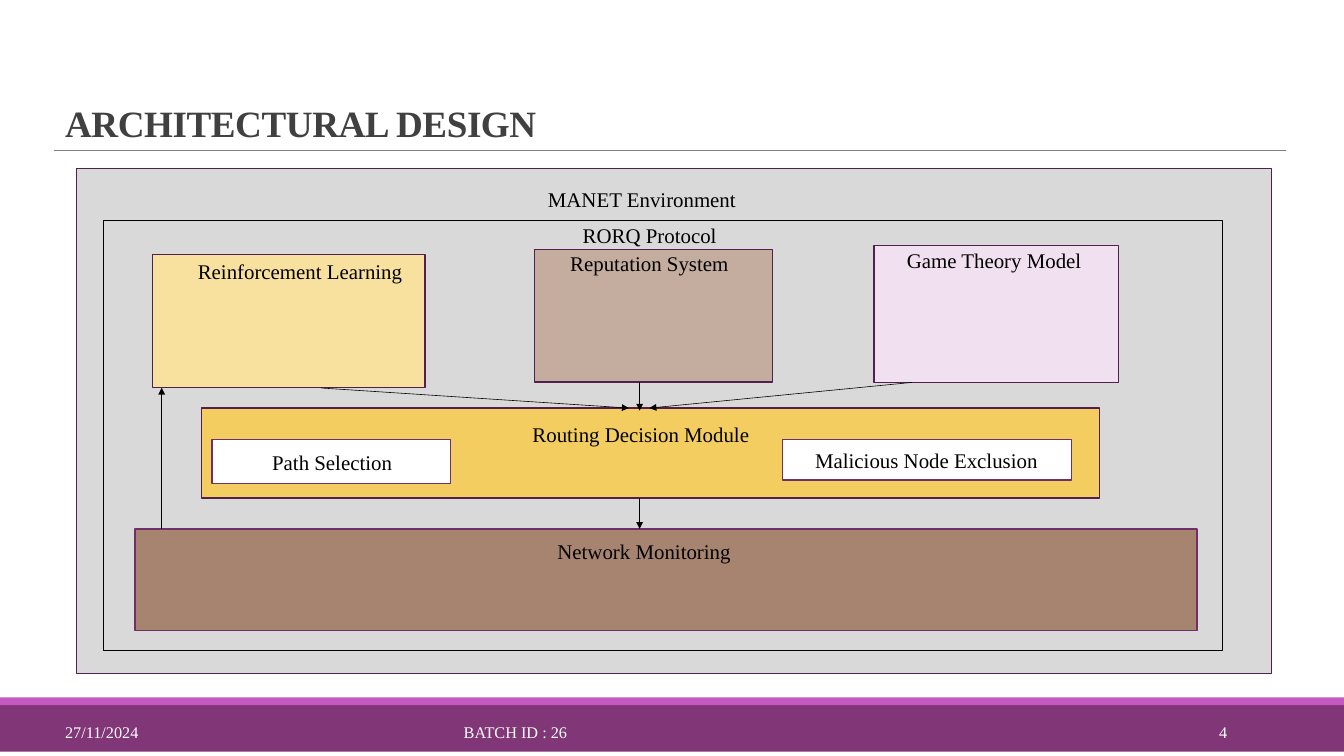
"""Build the architectural design slide."""
import pptx
import pptx.dml.color
import pptx.enum.shapes
import pptx.enum.text
import pptx.oxml
import pptx.oxml.ns
import pptx.util

Cm = pptx.util.Cm
Pt = pptx.util.Pt
Align = pptx.enum.text.PP_ALIGN
Anchor = pptx.enum.text.MSO_ANCHOR


def tint(code):
    """Turn a hex string into a colour."""
    return pptx.dml.color.RGBColor.from_string(code)


def assign(target, values):
    """Set each attribute named in a dict."""
    for name, value in values.items():
        setattr(target, name, value)


class Page:
    """Hold the style and the current slide."""

    face = "Times New Roman"

    def __init__(self, deck):
        """Add a title-only slide."""
        self.slide = deck.slides.add_slide(deck.slide_layouts[5])
        self.shapes = self.slide.shapes

    def label(self, shape, text, size, ink, pad=(0.25, 0.13), bold=False,
              anchor=Anchor.TOP, align=Align.LEFT):
        """Fill a shape with one styled line of text."""
        frame = shape.text_frame
        assign(frame, {
            "text": text, "word_wrap": True, "vertical_anchor": anchor,
            "auto_size": pptx.enum.text.MSO_AUTO_SIZE.NONE,
            "margin_left": Cm(pad[0]), "margin_top": Cm(pad[1]),
            "margin_right": Cm(0.25), "margin_bottom": Cm(pad[1]),
        })
        line = frame.paragraphs[0]
        line.alignment = align
        font = line.runs[0].font
        assign(font, {"name": self.face, "size": Pt(size), "bold": bold})
        font.color.rgb = tint(ink)
        return line

    def title(self, text, spot):
        """Place and format the title."""
        shape = self.shapes.title
        assign(shape, dict(zip(("left", "top", "width", "height"), map(Cm, spot))))
        line = self.label(shape, text, 32, "404040", bold=True, anchor=Anchor.BOTTOM)
        line.line_spacing = 0.85
        line.runs[0].font._element.set("spc", "-40")

    def box(self, spot, fill=None, edge=None, text=None, pad=(0, 0)):
        """Add a rectangle with an optional label."""
        kind = pptx.enum.shapes.MSO_SHAPE.RECTANGLE
        shape = self.shapes.add_shape(kind, *map(Cm, spot))
        shape.shadow.inherit = False
        if fill:
            shape.fill.solid()
            shape.fill.fore_color.rgb = tint(fill)
        else:
            shape.fill.background()
        if edge:
            shape.line.color.rgb = tint(edge)
            shape.line.width = Pt(1)
        else:
            shape.line.fill.background()
        if text:
            self.label(shape, text, 18, "000000", pad)

    def line(self, ends, ink, width, head=False):
        """Add a straight line, with an arrowhead if asked."""
        kind = pptx.enum.shapes.MSO_CONNECTOR.STRAIGHT
        link = self.shapes.add_connector(kind, *map(Cm, ends))
        link.line.color.rgb = tint(ink)
        link.line.width = Pt(width)
        look = link._element.spPr
        space = pptx.oxml.ns.nsdecls("a")
        if head:
            tail = pptx.oxml.parse_xml(f'<a:tailEnd {space} type="triangle"/>')
            look.get_or_add_ln().append(tail)
        look.append(pptx.oxml.parse_xml(f"<a:effectLst {space}/>"))

    def note(self, left, width, text, align=Align.LEFT):
        """Add a white text to the footer bar."""
        shape = self.shapes.add_textbox(*map(Cm, (left, 21.67, width, 1.22)))
        self.label(shape, text, 14, "FFFFFF", anchor=Anchor.MIDDLE, align=align)


PLUM, GRAPE = "512050", "712F6A"
BOXES = [
    ((2.34, 5.13, 36.35, 15.37), "D9D9D9", PLUM, "MANET Environment", (14.33, 0.56)),
    ((3.15, 6.71, 34.04, 13.08), None, "000000", "RORQ Protocol", (14.58, 0.08)),
    ((4.65, 7.75, 8.28, 4.04), "F8E09F", PLUM, "Reinforcement Learning", (1.37, 0.13)),
    ((16.26, 7.59, 7.24, 4.04), "C4AC9F", PLUM, "Reputation System", (1.09, 0.04)),
    ((26.59, 7.47, 7.44, 4.17), "F1E0F0", PLUM, "Game Theory Model", (1, 0.08)),
    ((6.12, 12.42, 27.33, 2.74), "F3CD5F", PLUM, "Routing Decision Module", (10.08, 0.41)),
    ((6.45, 13.39, 7.26, 1.32), "FFFFFF", GRAPE, "Path Selection", (1.83, 0.3)),
    ((23.8, 13.39, 8.79, 1.22), "FFFFFF", GRAPE, "Malicious Node Exclusion", (1, 0.25)),
    ((4.11, 16.1, 32.31, 3.1), "A7846F", GRAPE, "Network Monitoring", (12.85, 0.29)),
]
ARROWS = [
    (4.92, 16.1, 4.92, 11.8),
    (9.78, 11.81, 19.13, 12.42),
    (19.46, 11.63, 19.46, 12.5),
    (27.74, 11.64, 19.76, 12.42),
    (19.46, 15.16, 19.46, 16.1),
]


def main():
    """Draw the slide and save it."""
    deck = pptx.Presentation()
    assign(deck, {"slide_width": Cm(40.89), "slide_height": Cm(23.01)})
    page = Page(deck)
    page.box((0, 21.36, 40.89, 1.52), "803677")
    page.box((0, 21.23, 40.89, 0.23), "C45AC1")
    page.line((1.63, 4.57, 39.12, 4.57), "808080", 0.5)
    page.title("ARCHITECTURAL DESIGN", (1.73, 1.3, 37.95, 3.25))
    for item in BOXES:
        page.box(*item)
    for ends in ARROWS:
        page.line(ends, "000000", 0.5, head=True)
    page.note(1.73, 8.28, "27/11/2024")
    page.note(13.86, 8, "BATCH ID : 26")
    page.note(33.2, 4.39, "4", Align.RIGHT)
    deck.save("out.pptx")


if __name__ == "__main__":
    main()
